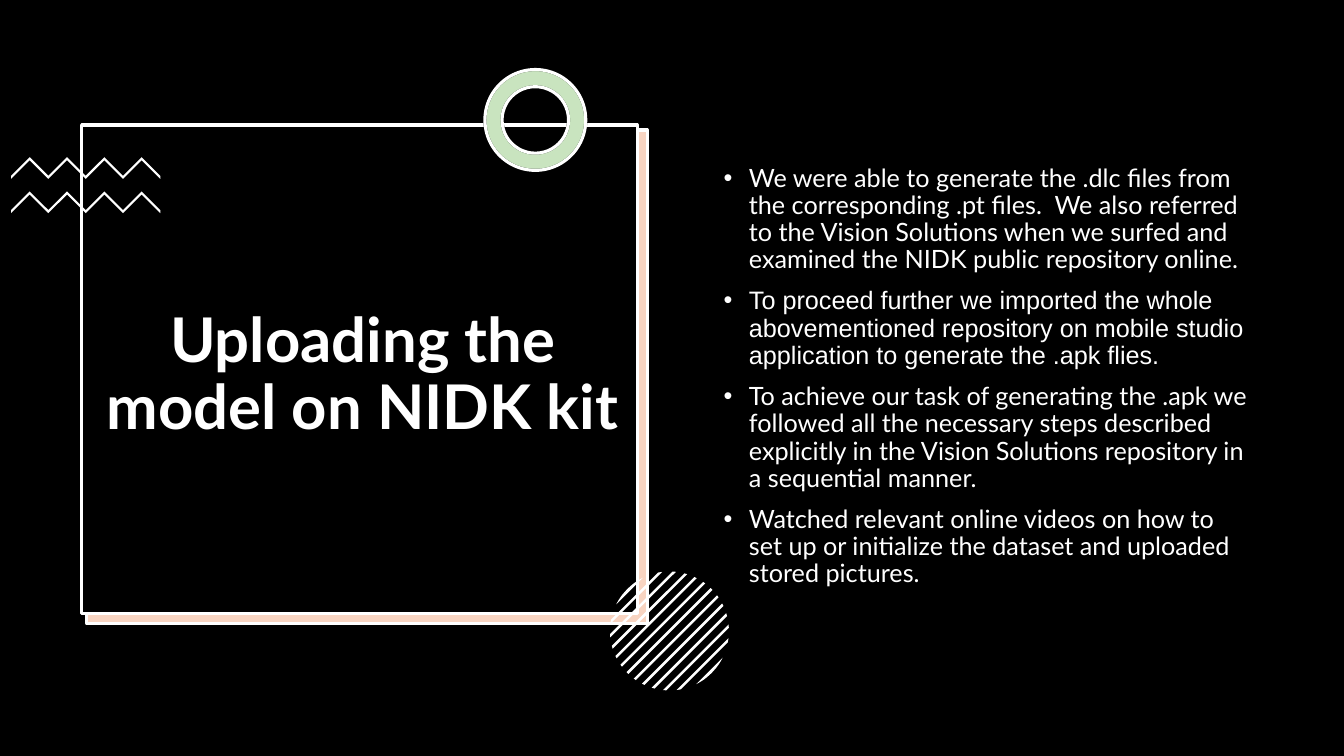
from math import sqrt

from lxml import etree
from pptx import Presentation
from pptx.dml.color import RGBColor
from pptx.enum.shapes import MSO_SHAPE
from pptx.enum.text import MSO_ANCHOR, MSO_AUTO_SIZE, PP_ALIGN
from pptx.oxml.ns import qn
from pptx.util import Inches, Pt

RECT, DONUT = MSO_SHAPE.RECTANGLE, MSO_SHAPE.DONUT
MIDDLE, CENTER = MSO_ANCHOR.MIDDLE, PP_ALIGN.CENTER
NO_AUTOFIT = MSO_AUTO_SIZE.NONE

WHITE, BLACK, ORANGE, GREEN = "FFFFFF", "000000", "E97132", "4EA72E"
TITLE = "Uploading the model on NIDK kit"
BULLETS = [
    ("We were able to generate the .dlc files from the corresponding .pt files.  "
     "We also referred to the Vision Solutions when we surfed and examined the "
     "NIDK public repository online.", "Lato"),
    ("To proceed further we imported the whole abovementioned repository on "
     "mobile studio application to generate the .apk flies.", "Arial"),
    ("To achieve our task of generating the .apk we followed all the necessary "
     "steps described explicitly in the Vision Solutions repository in a "
     "sequential manner.", "Lato"),
    ("Watched relevant online videos on how to set up or initialize the "
     "dataset and uploaded stored pictures.", "Lato"),
]


def rgb(color):
    return RGBColor.from_string(color)


def set_fill(sp, color, opacity=100):
    sp.fill.solid()
    sp.fill.fore_color.rgb = rgb(color)
    if opacity < 100:
        clr = sp._element.spPr.find(qn("a:solidFill"))[0]
        etree.SubElement(clr, qn("a:alpha")).set("val", str(opacity * 1000))


def set_line(sp, color):
    if color:
        sp.line.color.rgb = rgb(color)
        sp.line.width = Pt(2.25)
    else:
        sp.line.fill.background()


def add_preset(shapes, kind, box, fill, line=None, opacity=100):
    sp = shapes.add_shape(kind, *map(Inches, box))
    sp.shadow.inherit = False
    set_fill(sp, fill, opacity)
    set_line(sp, line)
    return sp


def add_polygon(shapes, points, fill):
    pts = [(Inches(x), Inches(y)) for x, y in points]
    builder = shapes.build_freeform(*pts[0])
    builder.add_line_segments(pts[1:], close=True)
    sp = builder.convert_to_shape()
    sp.shadow.inherit = False
    set_fill(sp, fill)
    set_line(sp, None)


def add_zigzag(shapes, left, top, step=0.185, thickness=0.03):
    upper = [(left + i * step, top + (i + 1) % 2 * step) for i in range(9)]
    lower = [(x, y + thickness) for x, y in reversed(upper)]
    add_polygon(shapes, upper + lower, WHITE)


def add_striped_circle(shapes, cx, cy, radius, pitch=0.135, half=0.018):
    """Diagonal stripes clipped to a circle; offsets are measured in x + y."""
    limit = radius * sqrt(2)
    for k in range(-6, 7):
        low = k * pitch - half if k > -6 else -limit
        high = k * pitch + half if k < 6 else limit
        right, left = [], []
        for i in range(9):
            offset = low + (high - low) * i / 8
            reach = sqrt(max(0, radius ** 2 - offset ** 2 / 2)) / sqrt(2)
            x, y = cx + offset / 2, cy + offset / 2
            right.append((x + reach, y - reach))
            left.append((x - reach, y + reach))
        add_polygon(shapes, right + left[::-1], WHITE)


def format_font(font, name, size, bold=False):
    font.name, font.size, font.bold = name, Pt(size), bold
    font.color.rgb = rgb(WHITE)


def add_title(s):
    title = s.shapes.title
    title.left, title.top, title.width, title.height = map(
        Inches, (0.92, 1.52, 5.36, 4.42))
    tf = title.text_frame
    tf.text = TITLE
    tf.word_wrap = True
    tf.auto_size = NO_AUTOFIT
    tf.vertical_anchor = MIDDLE
    p = tf.paragraphs[0]
    p.alignment = CENTER
    p.line_spacing = 0.9
    format_font(p.runs[0].font, "Lato", 44, True)
    # Bring the title in front of the frame
    s.shapes._spTree.append(title._element)


def add_bullet(p):
    pPr = p._p.get_or_add_pPr()
    pPr.set("marL", str(Inches(0.25)))
    pPr.set("indent", str(-Inches(0.25)))
    clr = etree.SubElement(pPr, qn("a:buClr"))
    etree.SubElement(clr, qn("a:srgbClr")).set("val", WHITE)
    etree.SubElement(pPr, qn("a:buFont")).set("typeface", "Arial")
    etree.SubElement(pPr, qn("a:buChar")).set("char", "•")


def add_bullets(shapes, box, items):
    tf = shapes.add_textbox(*map(Inches, box)).text_frame
    tf.word_wrap = True
    for i, (text, font) in enumerate(items):
        p = tf.add_paragraph() if i else tf.paragraphs[0]
        p.text = text
        add_bullet(p)
        p.line_spacing = 0.9
        p.space_before = Pt(10 if i else 0)
        format_font(p.runs[0].font, font, 18)


def main():
    prs = Presentation()
    prs.slide_width, prs.slide_height = Inches(13.33), Inches(7.5)
    s = prs.slides.add_slide(prs.slide_layouts[5])
    s.background.fill.solid()
    s.background.fill.fore_color.rgb = rgb(BLACK)
    shapes = s.shapes

    add_preset(shapes, RECT, (0.85, 1.3, 5.56, 4.9), WHITE)
    add_preset(shapes, RECT, (0.86, 1.29, 5.56, 4.9), ORANGE, WHITE, 30)
    add_preset(shapes, RECT, (0.81, 1.24, 5.51, 4.85), BLACK, WHITE)

    zigzags = shapes.add_group_shape().shapes
    for top in (1.56, 1.9):
        add_zigzag(zigzags, 0.11, top)

    for fill, line, opacity in ((WHITE, BLACK, 100), (GREEN, WHITE, 30)):
        ring = add_preset(shapes, DONUT, (4.81, 0.69, 1, 1), fill, line, opacity)
        ring.adjustments[0] = 0.17

    add_striped_circle(shapes.add_group_shape().shapes, 6.64, 6.26, 0.59)
    add_title(s)
    add_bullets(shapes, (7.08, 1.59, 5.44, 4.41), BULLETS)
    prs.save("out.pptx")


if __name__ == "__main__":
    main()
